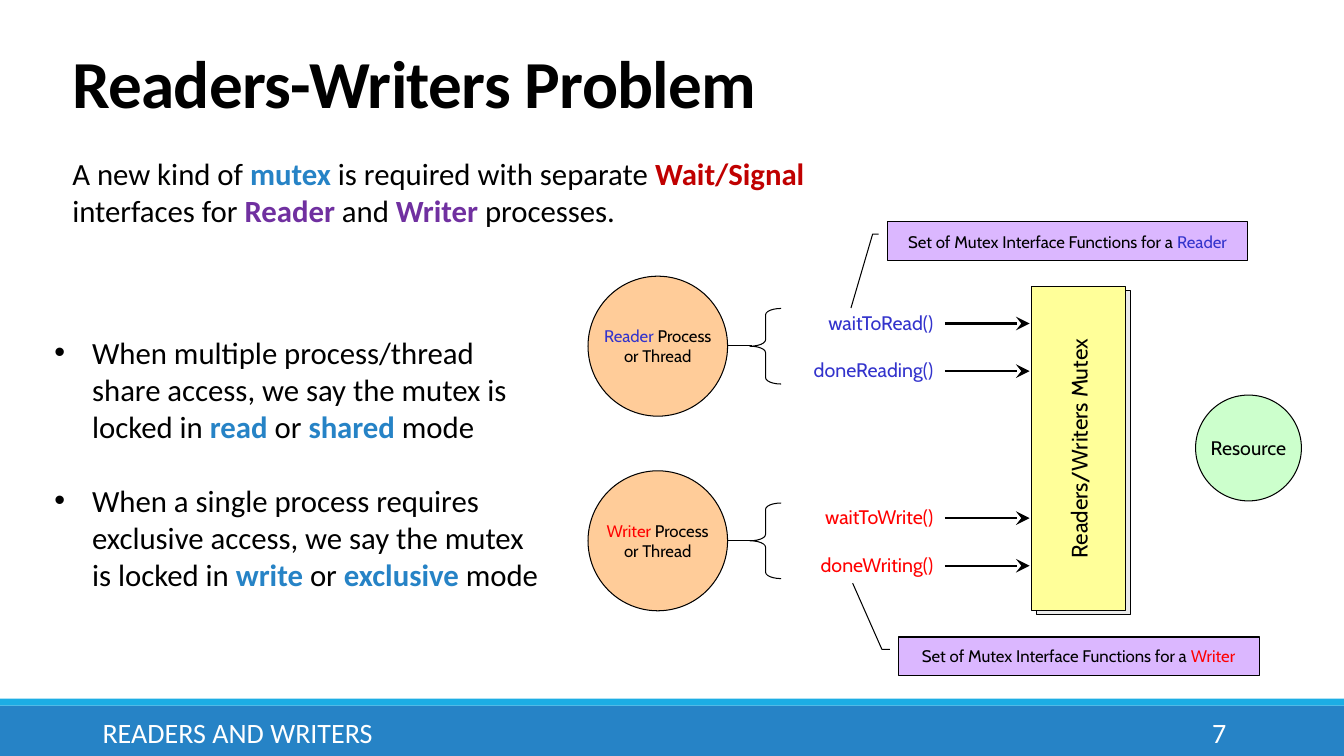
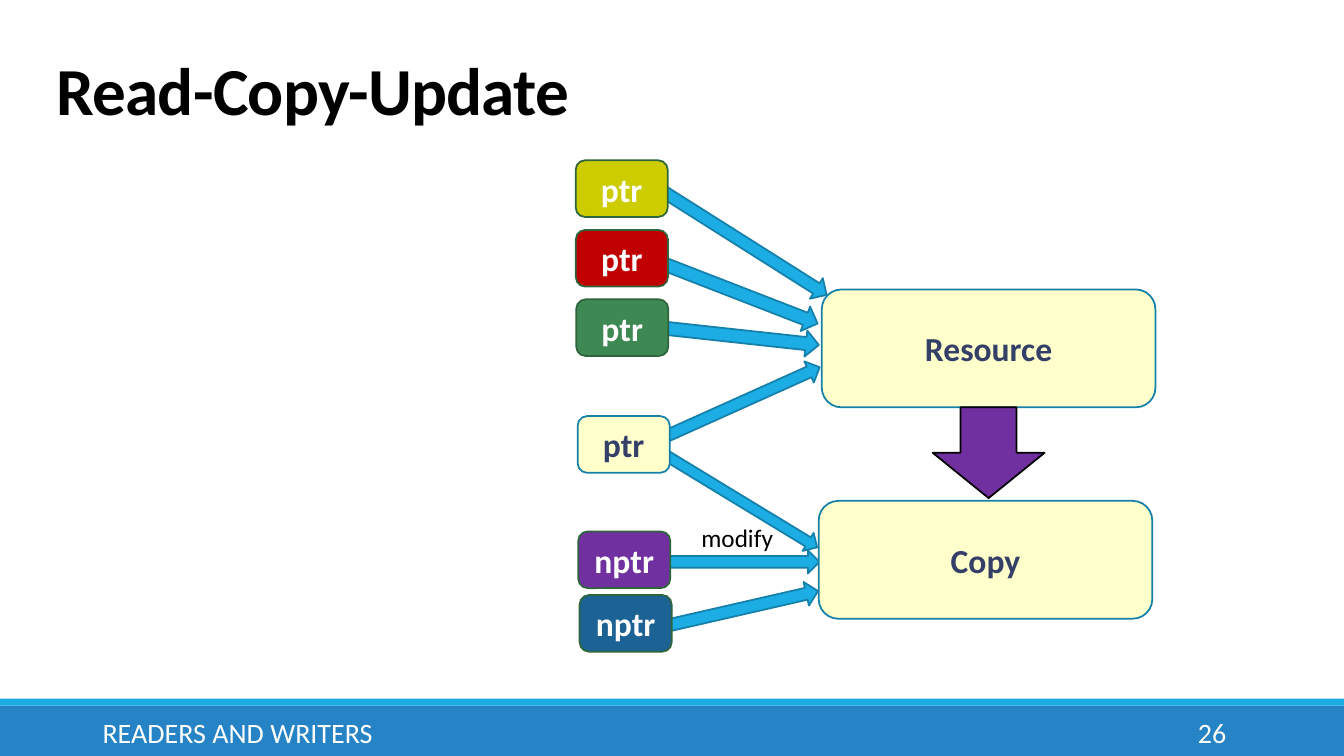
from lxml import etree
from pptx import Presentation
from pptx.dml.color import RGBColor
from pptx.enum.shapes import MSO_CONNECTOR, MSO_SHAPE
from pptx.enum.text import MSO_ANCHOR, PP_ALIGN
from pptx.oxml.ns import qn
from pptx.util import Pt

RECT, ROUNDED, ELLIPSE = MSO_SHAPE.RECTANGLE, MSO_SHAPE.ROUNDED_RECTANGLE, MSO_SHAPE.OVAL
BRACE, CALLOUT = MSO_SHAPE.LEFT_BRACE, MSO_SHAPE.LINE_CALLOUT_2
RIGHT_ARROW, DOWN_ARROW = MSO_SHAPE.RIGHT_ARROW, MSO_SHAPE.DOWN_ARROW
LEFT, CENTER, RIGHT = PP_ALIGN.LEFT, PP_ALIGN.CENTER, PP_ALIGN.RIGHT
TOP, MIDDLE, BOTTOM = MSO_ANCHOR.TOP, MSO_ANCHOR.MIDDLE, MSO_ANCHOR.BOTTOM

BODY_FONT, DIAGRAM_FONT = "Calibri", "Cabin"
BLACK, WHITE = "000000", "FFFFFF"
BLUE, SKY, SKY_EDGE = "2683C6", "1CADE4", "1580A9"
RED, PURPLE = "C00000", "7030A0"
READER_BLUE, WRITER_RED = "3333CC", "FF0000"
CREAM, NAVY, GREEN_EDGE = "FFFFCC", "344068", "2E653D"


def add_box(page, kind, place, fill=None, edge=None, weight=0.75, turn=0):
    """Add a preset shape, or a text box when kind is None."""
    lengths = [Pt(value) for value in place]
    if kind is None:
        box = page.shapes.add_textbox(*lengths)
    else:
        box = page.shapes.add_shape(kind, *lengths)
        box.shadow.inherit = False
        if fill:
            box.fill.solid()
            box.fill.fore_color.rgb = RGBColor.from_string(fill)
        else:
            box.fill.background()
        if edge:
            box.line.color.rgb = RGBColor.from_string(edge)
            box.line.width = Pt(weight)
        else:
            box.line.fill.background()
    box.rotation = turn
    return box


def write(box, paragraphs, size, align=LEFT, anchor=MIDDLE, face=BODY_FONT,
          bold=None, wrap=True, bullets=False):
    """Fill a box; each paragraph is a list of (text, colour[, bold])."""
    frame = box.text_frame
    frame.word_wrap = wrap
    frame.vertical_anchor = anchor
    for index, spans in enumerate(paragraphs):
        para = frame.add_paragraph() if index else frame.paragraphs[0]
        para.alignment = align
        if bullets:
            if index:
                para.space_before = Pt(26.5)
            properties = para._p.get_or_add_pPr()
            properties.set("marL", str(Pt(27)))
            properties.set("indent", str(Pt(-27)))
            bullet_font = etree.SubElement(properties, qn("a:buFont"))
            bullet_font.set("typeface", "Arial")
            etree.SubElement(properties, qn("a:buChar")).set("char", "•")
        para.font.name = face
        para.font.size = Pt(size)
        para.font.bold = bold
        for text, colour, *strong in spans:
            span = para.add_run()
            span.text = text
            span.font.color.rgb = RGBColor.from_string(colour)
            if strong:
                span.font.bold = strong[0]


deck = Presentation()
deck.slide_width, deck.slide_height = Pt(960), Pt(540)

# Shared frame: bands, title, footer and page number
pages = []
for title, left, top, number in [("Readers-Writers Problem", 44.6, 29.5, "7"),
                                 ("Read-Copy-Update", 33.1, 34.6, "26")]:
    page = deck.slides.add_slide(deck.slide_layouts[6])
    add_box(page, RECT, (0, 504, 960, 36), BLUE)
    add_box(page, RECT, (0, 499, 960, 5), SKY)
    heading = add_box(page, None, (left, top, 792, 61.2))
    write(heading, [[(title, BLACK)]], 48, anchor=BOTTOM, bold=True)
    line = heading.text_frame.paragraphs[0]
    line.line_spacing = 0.85
    line.runs[0].font._element.set("spc", "-50")
    footer = add_box(page, None, (66.2, 508.5, 604, 28.8))
    write(footer, [[("READERS AND WRITERS", WHITE)]], 20)
    page_number = add_box(page, None, (780, 508.5, 103, 28.8))
    write(page_number, [[(number, WHITE)]], 20, RIGHT)
    pages.append(page)
problem, update = pages

# Readers-Writers Problem: explanation
intro = add_box(problem, None, (44.6, 107.3, 538, 60.5))
write(intro, [[("A new kind of ", BLACK), ("mutex", BLUE, True),
               (" is required with separate ", BLACK), ("Wait/Signal ", RED, True),
               ("interfaces for ", BLACK), ("Reader", PURPLE, True),
               (" and ", BLACK), ("Writer", PURPLE, True),
               (" processes.", BLACK)]], 22, anchor=TOP)
modes = add_box(problem, None, (31.7, 234.7, 366.5, 193.7))
write(modes, [
    [("When multiple process/thread share access, we say the mutex is locked in ", BLACK),
     ("read", BLUE, True), (" or ", BLACK), ("shared", BLUE, True), (" mode", BLACK)],
    [("When a single process requires exclusive access, we say the mutex is locked in ", BLACK),
     ("write", BLUE, True), (" or ", BLACK), ("exclusive", BLUE, True), (" mode", BLACK)],
], 22, anchor=TOP, bullets=True)

# Mutex and resource
add_box(problem, RECT, (740.2, 207.4, 67, 231.8), "EAEAEA", BLACK)
add_box(problem, RECT, (737, 204.5, 67, 231.8), "FFFF99", BLACK)
mutex = add_box(problem, None, (658, 307.5, 224.6, 26), turn=270)
write(mutex, [[("Readers/Writers Mutex", BLACK)]], 16, CENTER, TOP, DIAGRAM_FONT)
resource = add_box(problem, ELLIPSE, (854, 282.2, 75.6, 75.6), "CCFFCC", BLACK)
write(resource, [[("Resource", BLACK)]], 14, CENTER, face=DIAGRAM_FONT, wrap=False)

# Reader row and writer row
rows = [
    ("Reader", READER_BLUE, ("waitToRead()", "doneReading()"),
     (633.6, 158.4, 257.8, 28), (0.316, -0.023, 0.316, -0.04, 2.202, -0.1)),
    ("Writer", WRITER_RED, ("waitToWrite()", "doneWriting()"),
     (641.5, 455, 257.8, 27.4), (0.321, -0.023, 0.321, -0.045, -1.402, -0.126)),
]
for row, (role, colour, functions, callout_place, leader) in enumerate(rows):
    shift = row * 139
    lines = [(537, 520, 247 + shift, 1, False)]
    process = add_box(problem, ELLIPSE, (420, 197.3 + shift, 99.7, 100), "FFCC99", BLACK)
    write(process, [[(role, colour), (" Process", BLACK)], [("or Thread", BLACK)]],
          12, CENTER, face=DIAGRAM_FONT, wrap=False)
    brace = add_box(problem, BRACE, (535.7, 220.3 + shift, 22.3, 54), edge=BLACK)
    brace.adjustments[0] = 0.205
    for step, function in enumerate(functions):
        drop = shift + step * 34
        label = add_box(problem, None, (535.5, 218.2 + drop, 138.2, 23))
        write(label, [[(function, colour)]], 14, RIGHT, TOP, DIAGRAM_FONT)
        lines.append((675, 735.5, 231.1 + drop, 1.5, True))
    for start, end, height, weight, has_head in lines:
        connector = problem.shapes.add_connector(
            MSO_CONNECTOR.STRAIGHT, Pt(start), Pt(height), Pt(end), Pt(height))
        connector.line.color.rgb = RGBColor.from_string(BLACK)
        connector.line.width = Pt(weight)
        if has_head:
            head = etree.SubElement(connector.line._get_or_add_ln(), qn("a:tailEnd"))
            for key, value in (("type", "stealth"), ("w", "lg"), ("len", "lg")):
                head.set(key, value)
        etree.SubElement(connector._element.spPr, qn("a:effectLst"))
    callout = add_box(problem, CALLOUT, callout_place, "DBB7FF", BLACK)
    for index, value in enumerate(leader):
        callout.adjustments[index] = value
    write(callout, [[("Set of Mutex Interface Functions for a ", BLACK), (role, colour)]],
          12, CENTER, face=DIAGRAM_FONT)

# Read-Copy-Update: arrows from pointers to data
for *place, turn in [
    (462.2, 164.9, 139, 17.3, 32.3),
    (464.4, 199.4, 123.8, 18.7, 21.2),
    (461.5, 230.4, 123.8, 18.7, 6.2),
    (463.7, 280.1, 127.4, 16.6, 335.8),
    (461.5, 349.2, 131.8, 15.1, 31.3),
    (470.2, 393.1, 115.2, 16.6, 0),
    (447.1, 429.1, 139, 17.3, 347.1),
]:
    add_box(update, RIGHT_ARROW, place, SKY, SKY_EDGE, 1.25, turn)

# Pointers
for name, left, top, fill, edge, colour in [
    ("ptr", 411.2, 114.5, "CCCC00", GREEN_EDGE, WHITE),
    ("ptr", 411.3, 164.2, RED, GREEN_EDGE, WHITE),
    ("ptr", 411.6, 213.8, "3E8853", GREEN_EDGE, WHITE),
    ("ptr", 412.6, 297.2, CREAM, SKY_EDGE, NAVY),
    ("nptr", 413, 379.6, PURPLE, GREEN_EDGE, WHITE),
    ("nptr", 414, 425, "1D6294", GREEN_EDGE, WHITE),
]:
    pointer = add_box(update, ROUNDED, (left, top, 65.8, 40.5), fill, edge, 1.25)
    write(pointer, [[(name, colour)]], 24, CENTER, bold=True)

# Resource and its copy
for name, left, top in [("Resource", 587, 206.8), ("Copy", 584.8, 357.8)]:
    data = add_box(update, ROUNDED, (left, top, 238.3, 84.2), CREAM, SKY_EDGE, 1.25)
    write(data, [[(name, NAVY)]], 24, CENTER, bold=True)
add_box(update, DOWN_ARROW, (666.2, 291, 80, 64.8), PURPLE, BLACK, 1.25)
modify = add_box(update, None, (493.9, 369.4, 66.2, 28.8))
write(modify, [[("modify", BLACK)]], 18, anchor=TOP, wrap=False)

deck.save("out.pptx")
